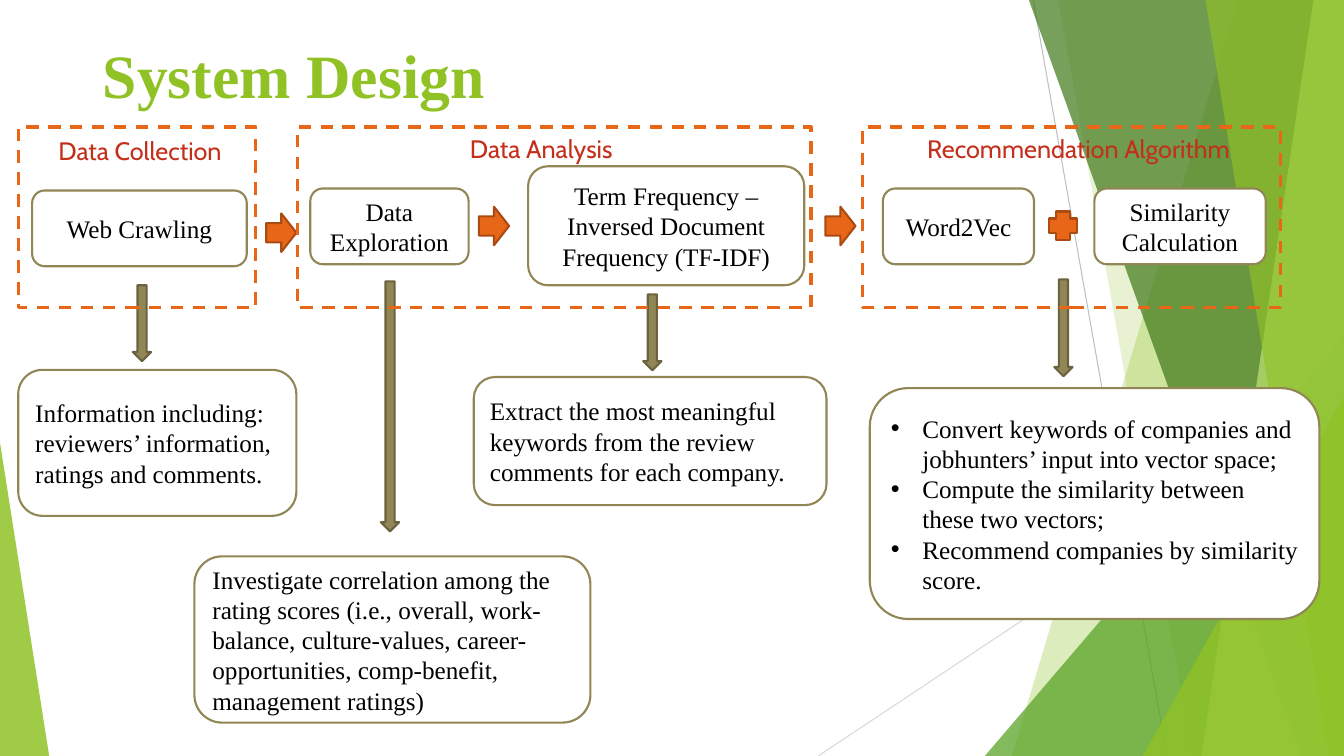
"""Build the System Design slide: a three-stage pipeline with explanatory boxes."""
from dataclasses import dataclass

from lxml import etree
from pptx import Presentation
from pptx.dml.color import RGBColor
from pptx.enum.dml import MSO_LINE
from pptx.enum.shapes import MSO_CONNECTOR, MSO_SHAPE
from pptx.enum.text import MSO_ANCHOR, MSO_AUTO_SIZE, PP_ALIGN
from pptx.oxml.ns import qn
from pptx.util import Cm, Pt

RECTANGLE, ROUNDED = MSO_SHAPE.RECTANGLE, MSO_SHAPE.ROUNDED_RECTANGLE
TRIANGLE, PLUS = MSO_SHAPE.ISOSCELES_TRIANGLE, MSO_SHAPE.CROSS
RIGHT_ARROW, DOWN_ARROW = MSO_SHAPE.RIGHT_ARROW, MSO_SHAPE.DOWN_ARROW
LEFT, CENTER = PP_ALIGN.LEFT, PP_ALIGN.CENTER
TOP, MIDDLE = MSO_ANCHOR.TOP, MSO_ANCHOR.MIDDLE
STRAIGHT, DASH = MSO_CONNECTOR.STRAIGHT, MSO_LINE.DASH

PAGE_WIDTH, PAGE_HEIGHT = 33.87, 19.05
SERIF, SANS = "Times New Roman", "Cabin"
GREEN, ORANGE, OLIVE = "90C226", "E76618", "918655"
STAGE_TOP, STAGE_HEIGHT = 3.2, 4.55


@dataclass
class Area:
    """A rectangle in centimetres."""
    left: float
    top: float
    width: float
    height: float

    def lengths(self) -> tuple:
        """Return the four values as lengths."""
        return Cm(self.left), Cm(self.top), Cm(self.width), Cm(self.height)


@dataclass
class Band:
    """A full-height strip that reaches the right edge of the page."""
    top_x: float
    bottom_x: float
    color: str
    opacity: int


@dataclass
class Corner:
    """A triangle whose apex sits at a share of its width."""
    area: Area
    apex: float
    color: str
    opacity: int


@dataclass
class Card:
    """A rounded box with text."""
    area: Area
    lines: list
    align: int = CENTER
    bullet: bool = False


@dataclass
class Marker:
    """A small filled arrow or plus."""
    kind: int
    area: Area
    fill: str = ORANGE
    outline: str = "AB4B12"


@dataclass
class Stage:
    """A dashed frame with its label."""
    left: float
    width: float
    label: str
    label_area: Area


def down(left: float, top: float, height: float) -> Marker:
    """Describe an olive arrow pointing down."""
    return Marker(DOWN_ARROW, Area(left, top, 0.46, height), OLIVE, "6B633F")


def right(left: float, top: float) -> Marker:
    """Describe an orange arrow pointing right."""
    return Marker(RIGHT_ARROW, Area(left, top, 0.76, 0.97))


RAYS = [(26.04, 0, 29.41, PAGE_HEIGHT, "BFBFBF"),
        (PAGE_WIDTH, 10.24, 20.62, PAGE_HEIGHT, "D9D9D9")]
BACKDROP = [
    Band(31.19, 25.5, GREEN, 30),
    Band(26.67, 30.05, GREEN, 20),
    Corner(Area(24.82, 8.46, 9.05, 10.59), 1, "54A021", 72),
    Band(25.93, 32.79, "3F7819", 70),
    Band(33.1, 30.28, "C0E474", 70),
    Band(30.38, 33.48, GREEN, 65),
    Corner(Area(28.8, 9.98, 5.07, 9.07), 1, GREEN, 80),
    Corner(Area(0, 11.15, 1.24, 7.9), 0, GREEN, 85),
]
MARKERS = [
    right(6.71, 5.38), right(12.07, 5.21), right(20.8, 5.21),
    Marker(PLUS, Area(26.44, 5.33, 0.71, 0.71)),
    down(3.35, 7.19, 1.91), down(9.6, 7.09, 6.3),
    down(16.21, 7.42, 1.91), down(26.57, 7.04, 2.44),
]
CARDS = [
    Card(Area(0.81, 4.8, 5.41, 1.91), ["Web Crawling"]),
    Card(Area(7.82, 4.75, 3.99, 1.91), ["Data Exploration"]),
    Card(Area(13.31, 4.19, 6.96, 3), ["Term Frequency – Inversed Document Frequency (TF-IDF)"]),
    Card(Area(22.25, 4.75, 3.81, 1.91), ["Word2Vec"]),
    Card(Area(27.58, 4.75, 4.32, 1.91), ["Similarity Calculation"]),
    Card(Area(0.46, 9.32, 7.01, 3.68),
         ["Information including: reviewers’ information, ratings and comments."], LEFT),
    Card(Area(4.9, 14.02, 9.98, 4.19),
         ["Investigate correlation among the rating scores (i.e., overall, work-balance, "
          "culture-values, career-opportunities, comp-benefit, management ratings)"], LEFT),
    Card(Area(11.94, 9.5, 8.89, 3.23),
         ["Extract the most meaningful keywords from the review comments for each company."], LEFT),
    Card(Area(21.92, 9.78, 11.33, 5.82),
         ["Convert keywords of companies and jobhunters’ input into vector space;",
          "Compute the similarity between these two vectors;",
          "Recommend companies by similarity score."], LEFT, True),
]
STAGES = [
    Stage(0.46, 5.99, "Data Collection", Area(0.99, 3.28, 5.08, 1.02)),
    Stage(7.49, 12.95, "Data Analysis", Area(11.1, 3.23, 5.08, 1.02)),
    Stage(21.74, 10.54, "Recommendation Algorithm", Area(22.66, 3.23, 9.04, 1.02)),
]


def rgb(value: str) -> RGBColor:
    """Turn a hex string into a colour."""
    return RGBColor.from_string(value)


def add_bullet(para) -> None:
    """Give a paragraph a hanging round bullet."""
    properties = para._p.get_or_add_pPr()
    properties.set("marL", str(Cm(0.79)))
    properties.set("indent", str(Cm(-0.79)))
    etree.SubElement(properties, qn("a:buFont")).set("typeface", "Arial")
    etree.SubElement(properties, qn("a:buChar")).set("char", "•")


def write(frame, lines: list, *, font: str = SERIF, size: int = 18, color: str = "000000",
          bold: bool = False, align: int = CENTER, anchor: int = MIDDLE,
          spacing: float | None = None, bullet: bool = False) -> None:
    """Fill a text frame with one formatted paragraph per line."""
    frame.word_wrap = True
    frame.vertical_anchor = anchor
    for index, line in enumerate(lines):
        para = frame.add_paragraph() if index else frame.paragraphs[0]
        para.alignment = align
        if spacing:
            para.line_spacing = spacing
        if bullet:
            add_bullet(para)
        span = para.add_run()
        span.text = line
        span.font.name, span.font.size, span.font.bold = font, Pt(size), bold
        span.font.color.rgb = rgb(color)


def paint(shape, *, fill: str | None = None, outline: str | None = None,
          weight: float = 1.5, opacity: int = 100) -> None:
    """Set fill, outline and opacity, and drop the shadow."""
    shape.shadow.inherit = False
    if fill:
        shape.fill.solid()
        shape.fill.fore_color.rgb = rgb(fill)
    else:
        shape.fill.background()
    if opacity < 100:
        tint = shape.element.spPr.find(qn("a:solidFill")).find(qn("a:srgbClr"))
        etree.SubElement(tint, qn("a:alpha")).set("val", str(opacity * 1000))
    if outline:
        shape.line.color.rgb = rgb(outline)
        shape.line.width = Pt(weight)
    else:
        shape.line.fill.background()


def draw_backdrop(page) -> None:
    """Draw the thin rays and the translucent green facets."""
    for x1, y1, x2, y2, color in RAYS:
        ray = page.shapes.add_connector(STRAIGHT, Cm(x1), Cm(y1), Cm(x2), Cm(y2))
        ray.line.color.rgb, ray.line.width = rgb(color), Pt(0.75)
        etree.SubElement(ray.element.spPr, qn("a:effectLst"))
    for facet in BACKDROP:
        if isinstance(facet, Band):
            builder = page.shapes.build_freeform(Cm(facet.top_x), 0)
            builder.add_line_segments([(Cm(PAGE_WIDTH), 0), (Cm(PAGE_WIDTH), Cm(PAGE_HEIGHT)),
                                       (Cm(facet.bottom_x), Cm(PAGE_HEIGHT))])
            shape = builder.convert_to_shape()
        else:
            shape = page.shapes.add_shape(TRIANGLE, *facet.area.lengths())
            shape.adjustments[0] = facet.apex
        paint(shape, fill=facet.color, opacity=facet.opacity)


def draw_stage(page, stage: Stage) -> None:
    """Draw a dashed stage frame and its label."""
    area = Area(stage.left, STAGE_TOP, stage.width, STAGE_HEIGHT)
    frame = page.shapes.add_shape(RECTANGLE, *area.lengths())
    paint(frame, outline=ORANGE, weight=2.25)
    frame.line.dash_style = DASH
    label = page.shapes.add_textbox(*stage.label_area.lengths())
    write(label.text_frame, [stage.label], font=SANS, color="C42F1A", anchor=TOP)
    label.text_frame.auto_size = MSO_AUTO_SIZE.SHAPE_TO_FIT_TEXT


def main() -> None:
    """Build and save the deck."""
    deck = Presentation()
    deck.slide_width, deck.slide_height = Cm(PAGE_WIDTH), Cm(PAGE_HEIGHT)
    page = deck.slides.add_slide(deck.slide_layouts[5])
    draw_backdrop(page)
    title = page.shapes.title
    title.left, title.top, title.width, title.height = Area(2.34, 1.02, 29.21, 3.68).lengths()
    write(title.text_frame, ["System Design"], size=44, color=GREEN, bold=True,
          align=LEFT, anchor=TOP, spacing=0.9)
    for marker in MARKERS:
        shape = page.shapes.add_shape(marker.kind, *marker.area.lengths())
        paint(shape, fill=marker.fill, outline=marker.outline)
    for card in CARDS:
        box = page.shapes.add_shape(ROUNDED, *card.area.lengths())
        paint(box, fill="FFFFFF", outline=OLIVE)
        write(box.text_frame, card.lines, align=card.align, bullet=card.bullet)
    for stage in STAGES:
        draw_stage(page, stage)
    deck.save("out.pptx")


if __name__ == "__main__":
    main()
